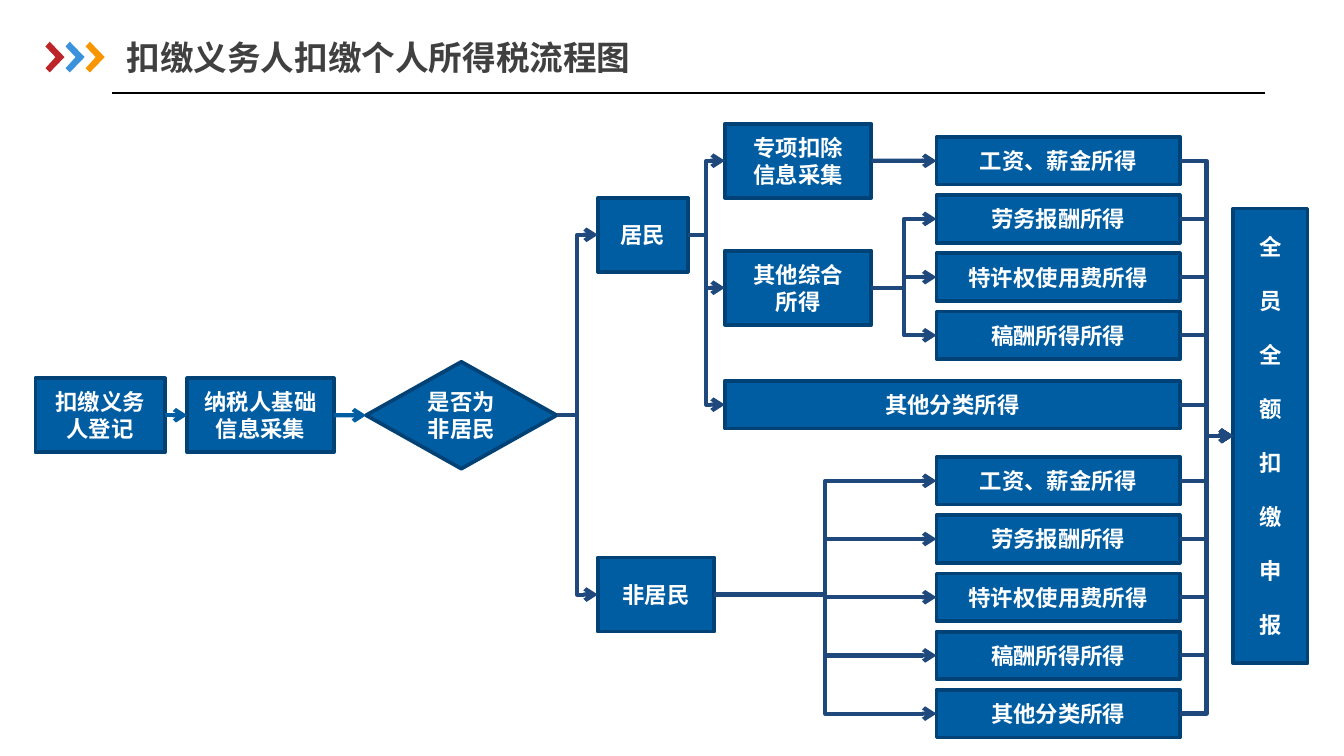
from lxml.etree import SubElement
from pptx import Presentation
from pptx.dml.color import RGBColor
from pptx.enum.shapes import MSO_CONNECTOR, MSO_SHAPE
from pptx.enum.text import MSO_ANCHOR, PP_ALIGN
from pptx.oxml.ns import qn
from pptx.util import Cm, Pt

FONT = "Noto Sans CJK SC"
WHITE = RGBColor(0xFF, 0xFF, 0xFF)
BLACK = RGBColor(0, 0, 0)
TITLE_GRAY = RGBColor(0x40, 0x40, 0x40)
BOX_BLUE = RGBColor(0x00, 0x5D, 0xA2)
BOX_EDGE = RGBColor(0x00, 0x42, 0x76)
LINK_NAVY = RGBColor(0x1F, 0x49, 0x7D)
CHEVRON_COLORS = (
    RGBColor(0xBC, 0x24, 0x2A),
    RGBColor(0x39, 0x92, 0xDB),
    RGBColor(0xF7, 0x96, 0x00),
)
CHEVRON = ((0.08, 0.58), (0, 0.5), (0.19, 0.29), (0, 0.09), (0.08, 0), (0.36, 0.29))

LEFT, RIGHT = 1, 3
STEP_HEIGHT = 1.4
INCOME_LEFT, INCOME_WIDTH, INCOME_HEIGHT, INCOME_PITCH = 17.7, 4.6, 0.9, 1.1
INCOMES = ["工资、薪金所得", "劳务报酬所得", "特许权使用费所得", "稿酬所得所得"]
OTHER_INCOME = "其他分类所得"


def write_text(shape, text, size=12, color=WHITE, align=PP_ALIGN.CENTER, gap=0):
    """Write one paragraph per line of text, with gap points between them."""
    frame = shape.text_frame
    frame.word_wrap = True
    frame.vertical_anchor = MSO_ANCHOR.MIDDLE
    for index, line in enumerate(text.split("\n")):
        para = frame.paragraphs[0] if index == 0 else frame.add_paragraph()
        para.alignment = align
        para.space_before = Pt(gap if index else 0)
        span = para.add_run()
        span.text = line
        span.font.size = Pt(size)
        span.font.bold = True
        span.font.name = FONT
        span.font.color.rgb = color
        SubElement(span.font._element, qn("a:ea"), typeface=FONT)


def add_box(page, text, left, top, width, height=STEP_HEIGHT,
            kind=MSO_SHAPE.RECTANGLE, gap=0):
    box = page.shapes.add_shape(kind, Cm(left), Cm(top), Cm(width), Cm(height))
    box.shadow.inherit = False
    box.fill.solid()
    box.fill.fore_color.rgb = BOX_BLUE
    box.line.color.rgb = BOX_EDGE
    box.line.width = Pt(2)
    write_text(box, text, gap=gap)
    return box


def add_incomes(page, names, top):
    return [
        add_box(page, name, INCOME_LEFT, top + row * INCOME_PITCH,
                INCOME_WIDTH, INCOME_HEIGHT)
        for row, name in enumerate(names)
    ]


def add_line(page, kind, start, end, color, width):
    line = page.shapes.add_connector(kind, *start, *end)
    line.line.color.rgb = color
    line.line.width = Pt(width)
    SubElement(line._element.spPr, qn("a:effectLst"))
    return line


def link(page, source, target, kind=MSO_CONNECTOR.ELBOW, color=LINK_NAVY):
    """Lead an arrow from the right side of source to the left side of target."""
    start = (source.left + source.width, source.top + source.height // 2)
    end = (target.left, target.top + target.height // 2)
    arrow = add_line(page, kind, start, end, color, 2.25)
    arrow.begin_connect(source, RIGHT)
    arrow.end_connect(target, LEFT)
    SubElement(arrow.line._get_or_add_ln(), qn("a:tailEnd"), type="arrow")


def add_chevron(page, left, top, color):
    points = [(Cm(left + x), Cm(top + y)) for x, y in CHEVRON]
    builder = page.shapes.build_freeform(*points[0])
    builder.add_line_segments(points[1:], close=True)
    chevron = builder.convert_to_shape()
    chevron.shadow.inherit = False
    chevron.fill.solid()
    chevron.fill.fore_color.rgb = color
    chevron.line.fill.background()


def add_header(page):
    title = page.shapes.add_textbox(Cm(2.39), Cm(0.56), Cm(10.62), Cm(1.04))
    title.text_frame.margin_left = title.text_frame.margin_right = 0
    write_text(title, "扣缴义务人扣缴个人所得税流程图", size=18,
               color=TITLE_GRAY, align=PP_ALIGN.LEFT)
    add_line(page, MSO_CONNECTOR.STRAIGHT, (Cm(2.12), Cm(1.76)),
             (Cm(23.9), Cm(1.76)), BLACK, 0.75)
    for index, color in enumerate(CHEVRON_COLORS):
        add_chevron(page, 0.86 + index * 0.38, 0.79, color)


def add_flow(page):
    # Steps
    register = add_box(page, "扣缴义务人登记", 0.67, 7.15, 2.45)
    collect = add_box(page, "纳税人基础信息采集", 3.54, 7.15, 2.77)
    decision = add_box(page, "是否为非居民", 6.92, 6.84, 3.6, 2.02,
                       kind=MSO_SHAPE.FLOWCHART_DECISION)
    resident = add_box(page, "居民", 11.3, 3.74, 1.7)
    nonresident = add_box(page, "非居民", 11.3, 10.54, 2.2)
    deduction = add_box(page, "专项扣除\n信息采集", 13.7, 2.34, 2.77)
    combined = add_box(page, "其他综合\n所得", 13.7, 4.74, 2.77)
    other = add_box(page, OTHER_INCOME, 13.7, 7.2, 8.6, INCOME_HEIGHT)

    # Kinds of income and the final declaration
    resident_incomes = add_incomes(page, INCOMES, 2.59)
    nonresident_incomes = add_incomes(page, INCOMES + [OTHER_INCOME], 8.64)
    declare = add_box(page, "\n".join("全员全额扣缴申报"), 23.31, 3.94, 1.4, 8.6,
                      gap=14.5)

    # Arrows
    wages, *combined_incomes = resident_incomes
    link(page, register, collect, MSO_CONNECTOR.STRAIGHT, BOX_BLUE)
    link(page, collect, decision, MSO_CONNECTOR.STRAIGHT, BOX_BLUE)
    link(page, deduction, wages, MSO_CONNECTOR.STRAIGHT)
    branches = (
        (decision, (resident, nonresident)),
        (resident, (deduction, combined, other)),
        (combined, combined_incomes),
        (nonresident, nonresident_incomes),
    )
    for source, targets in branches:
        for target in targets:
            link(page, source, target)
    for income in (*resident_incomes, other, *nonresident_incomes):
        link(page, income, declare)


def main():
    deck = Presentation()
    deck.slide_width, deck.slide_height = Cm(25.4), Cm(14.29)
    page = deck.slides.add_slide(deck.slide_layouts[6])
    add_header(page)
    add_flow(page)
    deck.save("out.pptx")


if __name__ == "__main__":
    main()
